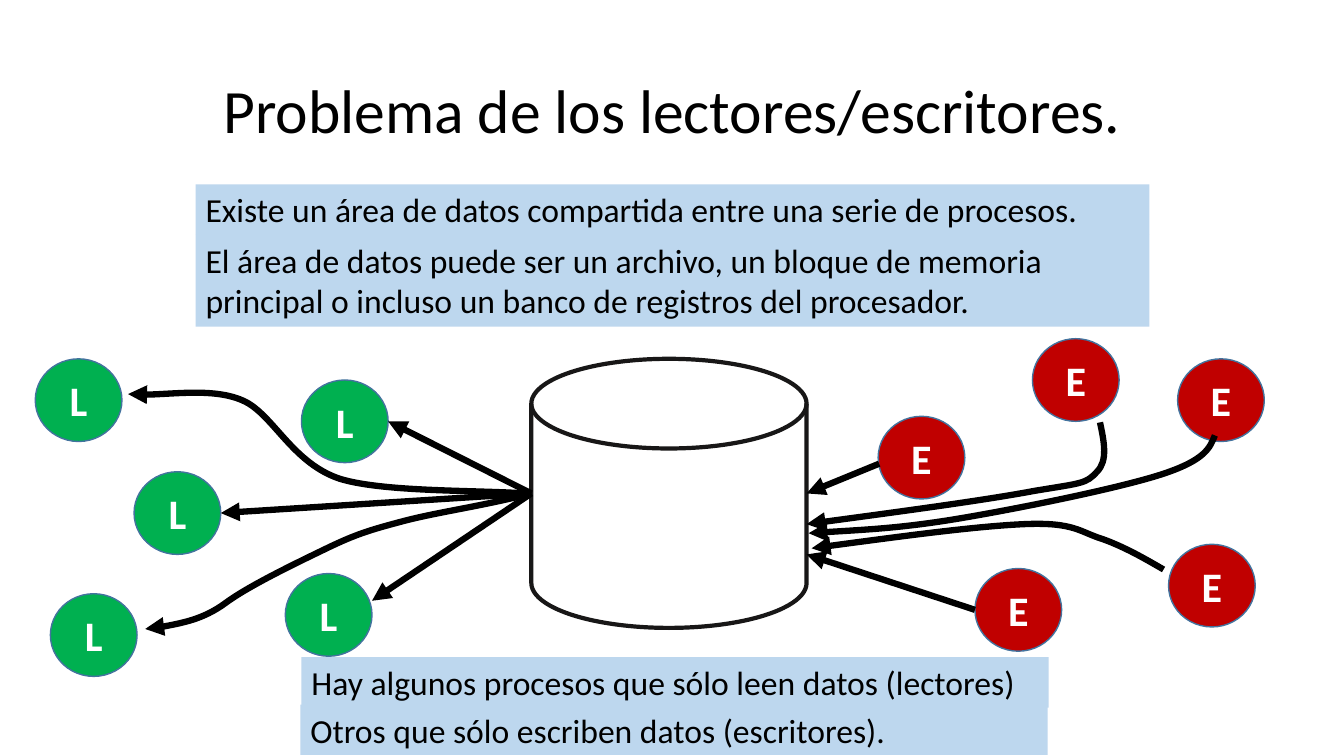
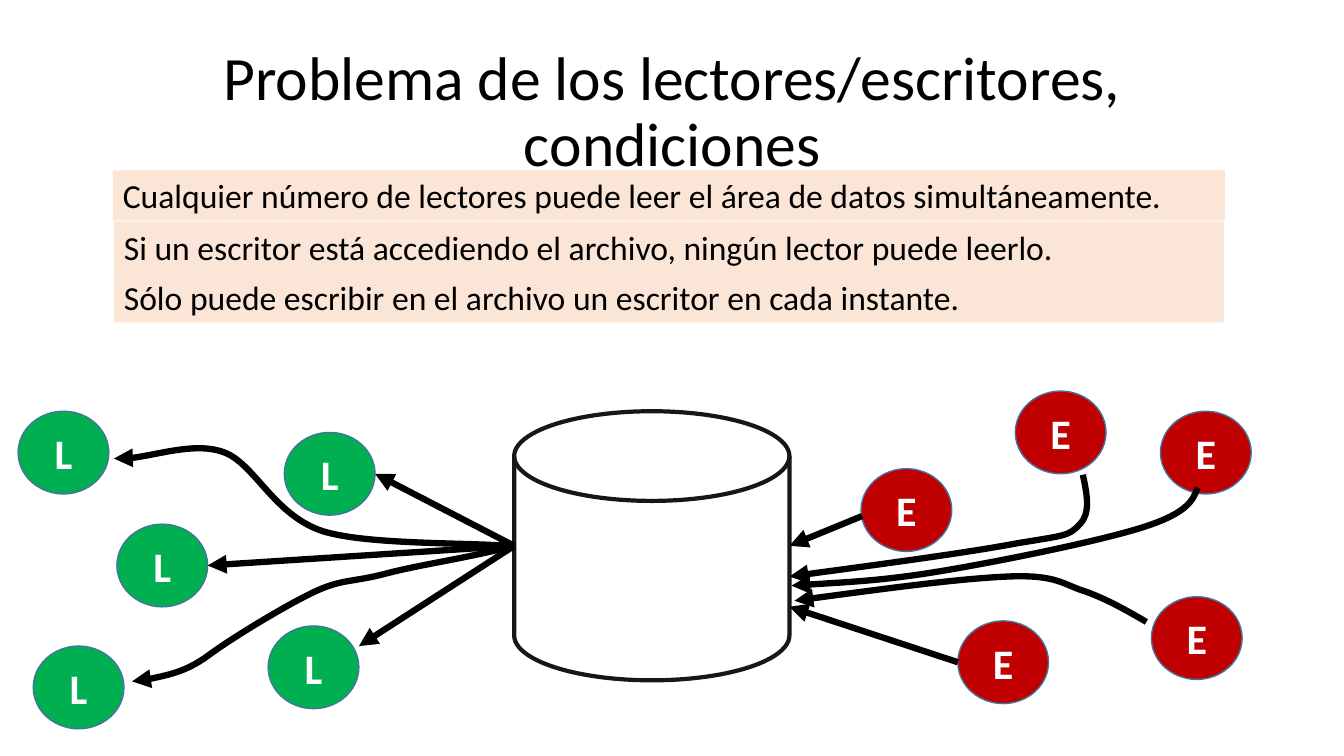
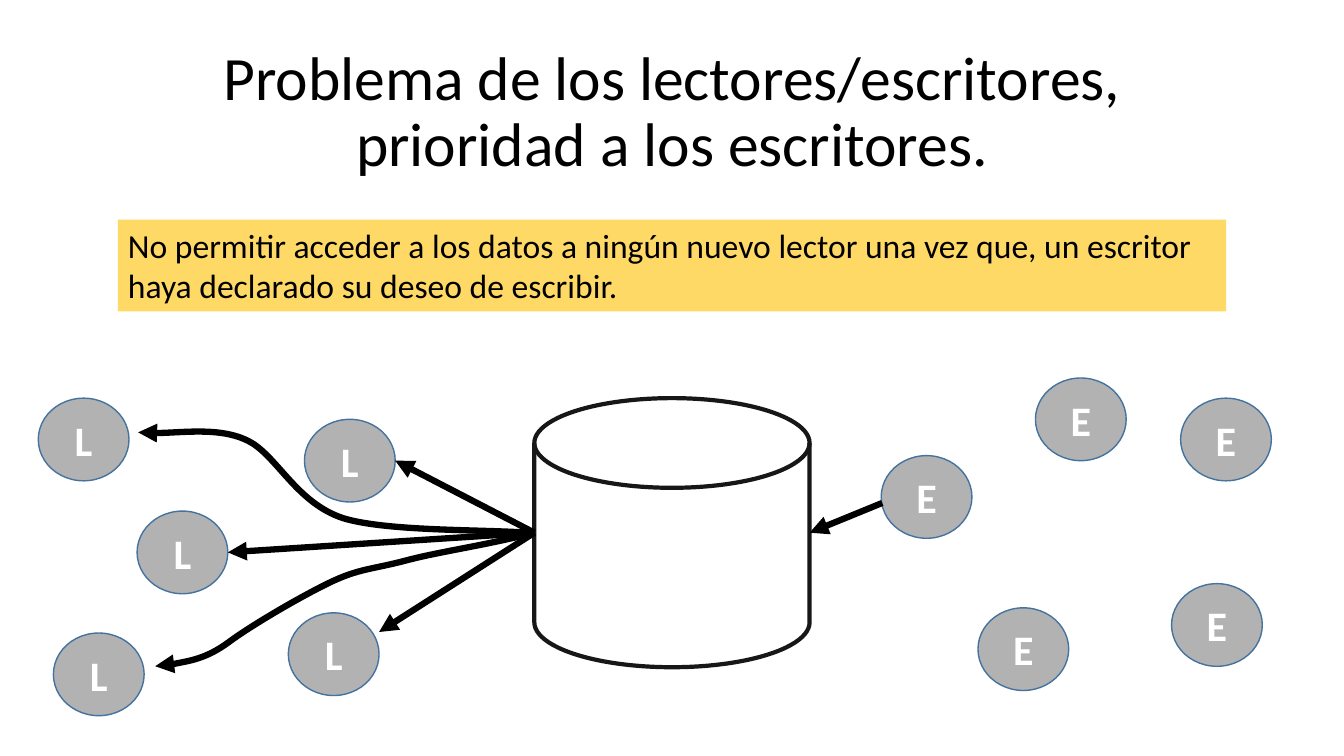
from lxml import etree
from pptx import Presentation
from pptx.dml.color import RGBColor
from pptx.enum import shapes, text
from pptx.oxml.ns import qn
from pptx.util import Inches, Pt

FONT = "Calibri"
COLORS = {"ink": "000000", "white": "FFFFFF", "disk": "181717", "rim": "43739E",
          "reader": "00B050", "writer": "C00000", "idle": "B2B2B2",
          "blue": "BDD7EE", "peach": "FBE5D6", "gold": "FFD966"}

# Diagram geometry, in inches from the top left corner of the disk
DISK_W, DISK_H = 2.73, 2.67
CIRCLE_H = 0.82
READERS = [(-4.92, 0), (-2.28, 0.21), (-3.94, 1.12), (-2.44, 2.13), (-4.77, 2.33)]
WRITERS = [(3.44, 0.57), (4.97, -0.2), (4.4, 2.08), (6.32, 1.84), (6.41, 0)]
READ_FROM = (0, DISK_H / 2)
FIRST_WRITE = ((3.45, 1.04), (DISK_W, DISK_H / 2))
OTHER_WRITE = ((4.4, 2.49), (DISK_W, 1.94))
# Curves: a start, then two control points and an end for each bend
WRITE_CURVES = [
    [(6.27, 2.09), (6.08, 1.98), (5.89, 1.87), (5.67, 1.79),
     (5.44, 1.72), (5.39, 1.62), (4.9, 1.64), (4.42, 1.66), (3.6, 1.77), (2.78, 1.88)],
    [(5.64, 0.63), (5.68, 0.82), (5.72, 1.01), (5.61, 1.12),
     (5.5, 1.24), (5.47, 1.23), (4.99, 1.31), (4.51, 1.4), (3.62, 1.52), (2.73, 1.64)],
    [(6.78, 0.76), (6.73, 0.88), (6.69, 1), (6.27, 1.14),
     (5.85, 1.28), (4.86, 1.48), (4.27, 1.58), (3.68, 1.68), (3.21, 1.7), (2.75, 1.73)],
]

# Banners: left, top, width, height, text
SLIDES = [
    {"title": "Problema de los lectores/escritores.",
     "banner": "blue",
     "banners": [
         (1.94, 1.83, 9.46, 0.5, "Existe un área de datos compartida entre una serie de procesos."),
         (1.94, 2.33, 9.46, 0.91, "El área de datos puede ser un archivo, un bloque de memoria "
                                  "principal o incluso un banco de registros del procesador."),
         (2.99, 6.52, 7.41, 0.5, "Hay algunos procesos que sólo leen datos (lectores)"),
         (2.98, 6.99, 7.41, 0.5, "Otros que sólo escriben datos (escritores)."),
     ],
     "disk": (5.27, 3.56), "circle_w": 0.86, "fills": ("reader", "writer"), "all_write": True,
     "low_reader_y": 2.4, "top_end": (-4, 0.35), "bend": (-2.03, 1.88), "low_end": (-3.83, 2.68)},
    {"title": "Problema de los lectores/escritores, condiciones",
     "banner": "peach",
     "banners": [
         (1.12, 1.69, 11.03, 0.5,
          "Cualquier número de lectores puede leer el área de datos simultáneamente."),
         (1.13, 2.2, 11.01, 0.5,
          "Si un escritor está accediendo el archivo, ningún lector puede leerlo."),
         (1.13, 2.7, 11.01, 0.5, "Sólo puede escribir en el archivo un escritor en cada instante."),
     ],
     "disk": (5.1, 4.08), "circle_w": 0.9, "fills": ("reader", "writer"), "all_write": True,
     "low_reader_y": 2.33, "top_end": (-3.97, 0.47), "bend": (-2, 1.8), "low_end": (-3.79, 2.68)},
    {"title": "Problema de los lectores/escritores, prioridad a los escritores.",
     "banner": "gold",
     "banners": [
         (1.17, 2.18, 10.99, 0.91, "No permitir acceder a los datos a ningún nuevo lector una vez "
                                   "que, un escritor haya declarado su deseo de escribir."),
     ],
     "disk": (5.3, 3.95), "circle_w": 0.9, "fills": ("idle", "idle"), "all_write": False,
     "low_reader_y": 2.32, "top_end": (-3.93, 0.34), "bend": (-2.03, 1.83), "low_end": (-3.76, 2.66)},
]


def rgb(name):
    return RGBColor.from_string(COLORS[name])


def shift(point, dx, dy):
    return point[0] + dx, point[1] + dy


def write(sp, content, size, color="ink", bold=False, centred=True):
    tf = sp.text_frame
    tf.word_wrap = True
    tf.vertical_anchor = text.MSO_ANCHOR.MIDDLE if centred else text.MSO_ANCHOR.TOP
    p = tf.paragraphs[0]
    p.text = content
    p.alignment = text.PP_ALIGN.CENTER if centred else text.PP_ALIGN.LEFT
    p.font.name, p.font.size, p.font.bold = FONT, Pt(size), bold
    p.font.color.rgb = rgb(color)
    return p


def add_shape(s, kind, box, fill=None, line=None, width=1):
    sp = s.shapes.add_shape(kind, *map(Inches, box))
    sp.shadow.inherit = False
    if fill:
        sp.fill.solid()
        sp.fill.fore_color.rgb = rgb(fill)
    else:
        sp.fill.background()
    if line:
        sp.line.color.rgb = rgb(line)
        sp.line.width = Pt(width)
    else:
        sp.line.fill.background()
    return sp


def style_arrow(sp):
    sp.line.color.rgb = rgb("ink")
    sp.line.width = Pt(4.5)
    etree.SubElement(sp.line._get_or_add_ln(), qn("a:tailEnd"), type="triangle")


def straight_arrow(s, disk, start, end):
    ends = [Inches(v) for point in (start, end) for v in shift(point, *disk)]
    cx = s.shapes.add_connector(shapes.MSO_CONNECTOR.STRAIGHT, *ends)
    style_arrow(cx)
    etree.SubElement(cx._element.spPr, qn("a:effectLst"))


def curved_arrow(s, disk, points):
    start, *rest = [tuple(map(Inches, shift(point, *disk))) for point in points]
    fb = s.shapes.build_freeform(*start)
    fb.add_line_segments(rest, close=False)
    sp = fb.convert_to_shape()
    sp.shadow.inherit = False
    sp.fill.background()
    style_arrow(sp)
    # Each three straight steps become one cubic curve
    outline = next(sp._element.iter(qn("a:path")))
    steps = outline.findall(qn("a:lnTo"))
    for i in range(0, len(steps), 3):
        curve = etree.SubElement(outline, qn("a:cubicBezTo"))
        for step in steps[i:i + 3]:
            curve.append(step[0])
            outline.remove(step)


def draw_diagram(s, d):
    disk, w = d["disk"], d["circle_w"]
    add_shape(s, shapes.MSO_SHAPE.FLOWCHART_MAGNETIC_DISK, (*disk, DISK_W, DISK_H),
              line="disk", width=3)
    for letter, spots, fill in zip("LE", (READERS, WRITERS), d["fills"]):
        for spot in spots:
            sp = add_shape(s, shapes.MSO_SHAPE.OVAL, (*shift(spot, *disk), w, CIRCLE_H), fill, "rim")
            write(sp, letter, 30, "white", bold=True)

    # Writers
    for start, end in [FIRST_WRITE] + [OTHER_WRITE] * d["all_write"]:
        straight_arrow(s, disk, start, end)
    if d["all_write"]:
        for points in WRITE_CURVES:
            curved_arrow(s, disk, points)

    # Readers: straight arrows end at the right side of the near circles
    near = [shift(spot, w, CIRCLE_H / 2) for spot in READERS[1:3]]
    for end in near + [(READERS[3][0] + w, d["low_reader_y"])]:
        straight_arrow(s, disk, READ_FROM, end)
    top, bend, low = d["top_end"], d["bend"], d["low_end"]
    curved_arrow(s, disk, [(-0.02, 1.34), (-0.43, 1.3), (-1.45, 1.33), (-1.9, 1.19),
                           (-2.35, 1.04), (-2.54, 0.6), (-2.81, 0.44),
                           (-3.09, 0.28), shift(top, 0.23, 0.03), top])
    curved_arrow(s, disk, [(-0.02, 1.34), (-0.48, 1.46), (-0.93, 1.52), (-1.27, 1.61),
                           (-1.61, 1.7), shift(bend, 0.29, -0.14), bend,
                           shift(bend, -0.29, 0.14), (-2.8, 2.25), (-3.03, 2.42),
                           (-3.26, 2.59), shift(low, 0.07, 0.01), low])


prs = Presentation()
prs.slide_width, prs.slide_height = Inches(13.33), Inches(7.5)
for d in SLIDES:
    s = prs.slides.add_slide(prs.slide_layouts[6])
    title = s.shapes.add_textbox(*map(Inches, (0.92, 0.4, 11.5, 1.45)))
    write(title, d["title"], 44).line_spacing = 0.9
    draw_diagram(s, d)
    for *box, content in d["banners"]:
        sp = add_shape(s, shapes.MSO_SHAPE.RECTANGLE, box, d["banner"])
        write(sp, content, 24, centred=False)
prs.save("out.pptx")
